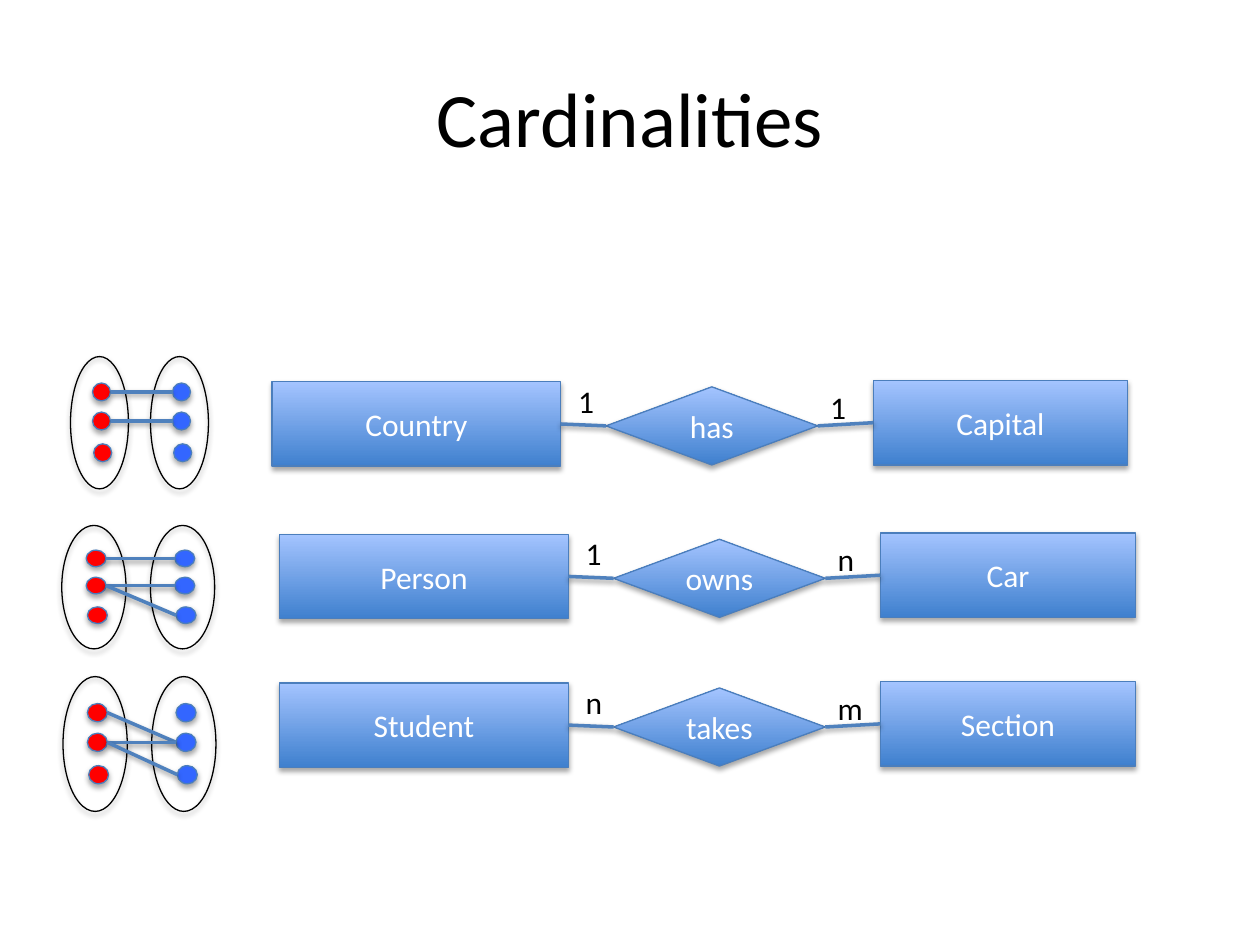
from dataclasses import dataclass

from lxml import etree
from pptx import Presentation
from pptx.dml.color import RGBColor
from pptx.enum.shapes import MSO_CONNECTOR, MSO_SHAPE
from pptx.enum.text import MSO_ANCHOR, MSO_AUTO_SIZE, PP_ALIGN
from pptx.oxml.ns import qn
from pptx.util import Inches, Pt

RECTANGLE, DIAMOND, OVAL = MSO_SHAPE.RECTANGLE, MSO_SHAPE.DIAMOND, MSO_SHAPE.OVAL
STRAIGHT = MSO_CONNECTOR.STRAIGHT
MIDDLE = MSO_ANCHOR.MIDDLE
CENTER, LEFT = PP_ALIGN.CENTER, PP_ALIGN.LEFT
FIT_SHAPE = MSO_AUTO_SIZE.SHAPE_TO_FIT_TEXT
LEFT_SITE, RIGHT_SITE = 1, 3


@dataclass(frozen=True)
class Theme:
    font: str = "Calibri"
    title_size: float = 44
    body_size: float = 18
    ink: str = "000000"
    light: str = "FFFFFF"
    gradient: tuple = ("3F80CE", "A4C4FF")
    border: str = "4B7EBC"
    link: str = "4F81BD"
    left_dot: str = "FF0000"
    right_dot: str = "3366FF"
    border_width: float = 0.75
    link_width: float = 2
    shape_shadow: tuple = (1.8, 35)
    link_shadow: tuple = (1.6, 38)
    shadow_blur: float = 3.1


class CardinalitySlide:
    """Draws entity-relationship rows and set mappings on one slide."""

    def __init__(self, slide, theme):
        self.slide = slide
        self.theme = theme

    def add_text(self, frame, text, size, color, align):
        paragraph = frame.paragraphs[0]
        paragraph.alignment = align
        run = paragraph.add_run()
        run.text = text
        run.font.name = self.theme.font
        run.font.size = Pt(size)
        run.font.color.rgb = RGBColor.from_string(color)

    def title(self, text):
        heading = self.slide.shapes.title
        heading.left, heading.top = Inches(0.5), Inches(0.3)
        heading.width, heading.height = Inches(9), Inches(1.25)
        heading.text_frame.vertical_anchor = MIDDLE
        self.add_text(heading.text_frame, text, self.theme.title_size, self.theme.ink, CENTER)

    def outline(self, element, color, width):
        element.line.color.rgb = RGBColor.from_string(color)
        element.line.width = Pt(width)

    def cast_shadow(self, element, distance, opacity):
        effects = etree.SubElement(element._element.spPr, qn("a:effectLst"))
        shadow = etree.SubElement(
            effects, qn("a:outerShdw"), blurRad=str(Pt(self.theme.shadow_blur)),
            dist=str(Pt(distance)), dir="5400000", rotWithShape="0")
        tint = etree.SubElement(shadow, qn("a:srgbClr"), val=self.theme.ink)
        etree.SubElement(tint, qn("a:alpha"), val=str(opacity * 1000))

    def shape(self, parent, preset, box, border):
        drawn = parent.shapes.add_shape(preset, *map(Inches, box))
        self.outline(drawn, border, self.theme.border_width)
        self.cast_shadow(drawn, *self.theme.shape_shadow)
        return drawn

    def node(self, preset, box, text):
        drawn = self.shape(self.slide, preset, box, self.theme.border)
        drawn.fill.gradient()
        drawn.fill.gradient_angle = 90
        for stop, color in zip(drawn.fill.gradient_stops, self.theme.gradient):
            stop.color.rgb = RGBColor.from_string(color)
        drawn.text_frame.vertical_anchor = MIDDLE
        self.add_text(drawn.text_frame, text, self.theme.body_size, self.theme.light, CENTER)
        return drawn

    def oval(self, parent, box, border, color=None):
        drawn = self.shape(parent, OVAL, box, border)
        if color:
            drawn.fill.solid()
            drawn.fill.fore_color.rgb = RGBColor.from_string(color)
        else:
            drawn.fill.background()

    def link(self, parent, start, end):
        line = parent.shapes.add_connector(STRAIGHT, *map(Inches, start + end))
        self.outline(line, self.theme.link, self.theme.link_width)
        self.cast_shadow(line, *self.theme.link_shadow)
        return line

    def join(self, left_node, right_node):
        line = self.link(self.slide, (0, 0), (0, 0))
        line.begin_connect(right_node, LEFT_SITE)
        line.end_connect(left_node, RIGHT_SITE)

    def label(self, x, y, width, text):
        box = self.slide.shapes.add_textbox(*map(Inches, (x, y, width, 0.4)))
        box.text_frame.word_wrap = False
        box.text_frame.auto_size = FIT_SHAPE
        self.add_text(box.text_frame, text, self.theme.body_size, self.theme.ink, LEFT)

    def relation(self, x, y, names, counts):
        entity, verb, partner = names
        target = self.node(RECTANGLE, (x + 4.77, y, 2.02, 0.67), partner)
        source = self.node(RECTANGLE, (x, y + 0.01, 2.29, 0.67), entity)
        relationship = self.node(DIAMOND, (x + 2.65, y + 0.05, 1.68, 0.62), verb)
        self.join(source, relationship)
        self.join(relationship, target)
        self.label(x + 2.33, y - 0.04, 0.33, counts[0])
        self.label(x + 4.33, y + 0.01, 0.4 if counts[1] == "m" else 0.33, counts[1])

    def mapping(self, x, y, width, height, pairs):
        group = self.slide.shapes.add_group_shape()
        dot_width, dot_height = 0.31 * width, 0.135 * height
        dots = [((0.38 + shift) * width, rise * height)
                for shift, rise in ((0, 0.2), (0, 0.42), (0.02, 0.66))]
        right_x = x + 1.38 * width
        for set_x, color in ((x, self.theme.left_dot), (right_x, self.theme.right_dot)):
            self.oval(group, (set_x, y, width, height), self.theme.ink)
            for dx, dy in dots:
                self.oval(group, (set_x + dx, y + dy, dot_width, dot_height),
                          self.theme.border, color)
        middle = y + dot_height / 2
        for first, second in pairs:
            (start_dx, start_dy), (end_dx, end_dy) = dots[first], dots[second]
            self.link(group, (x + start_dx + dot_width, middle + start_dy),
                      (right_x + end_dx, middle + end_dy))


RELATIONS = (
    (2.16, 3.02, ("Country", "has", "Capital"), "11"),
    (2.22, 4.23, ("Person", "owns", "Car"), "1n"),
    (2.22, 5.41, ("Student", "takes", "Section"), "nm"),
)
MAPPINGS = (
    (0.56, 2.83, 0.46, 1.05, ((0, 0), (1, 1))),
    (0.49, 4.17, 0.51, 0.98, ((0, 0), (1, 1), (1, 2))),
    (0.5, 5.37, 0.51, 1.07, ((0, 1), (1, 1), (1, 2))),
)


def main():
    deck = Presentation()
    deck.slide_width, deck.slide_height = Inches(10), Inches(7.5)
    layout = deck.slide_layouts.get_by_name("Title Only")
    page = CardinalitySlide(deck.slides.add_slide(layout), Theme())
    page.title("Cardinalities")
    for relation in RELATIONS:
        page.relation(*relation)
    for mapping in MAPPINGS:
        page.mapping(*mapping)
    deck.save("out.pptx")


if __name__ == "__main__":
    main()
